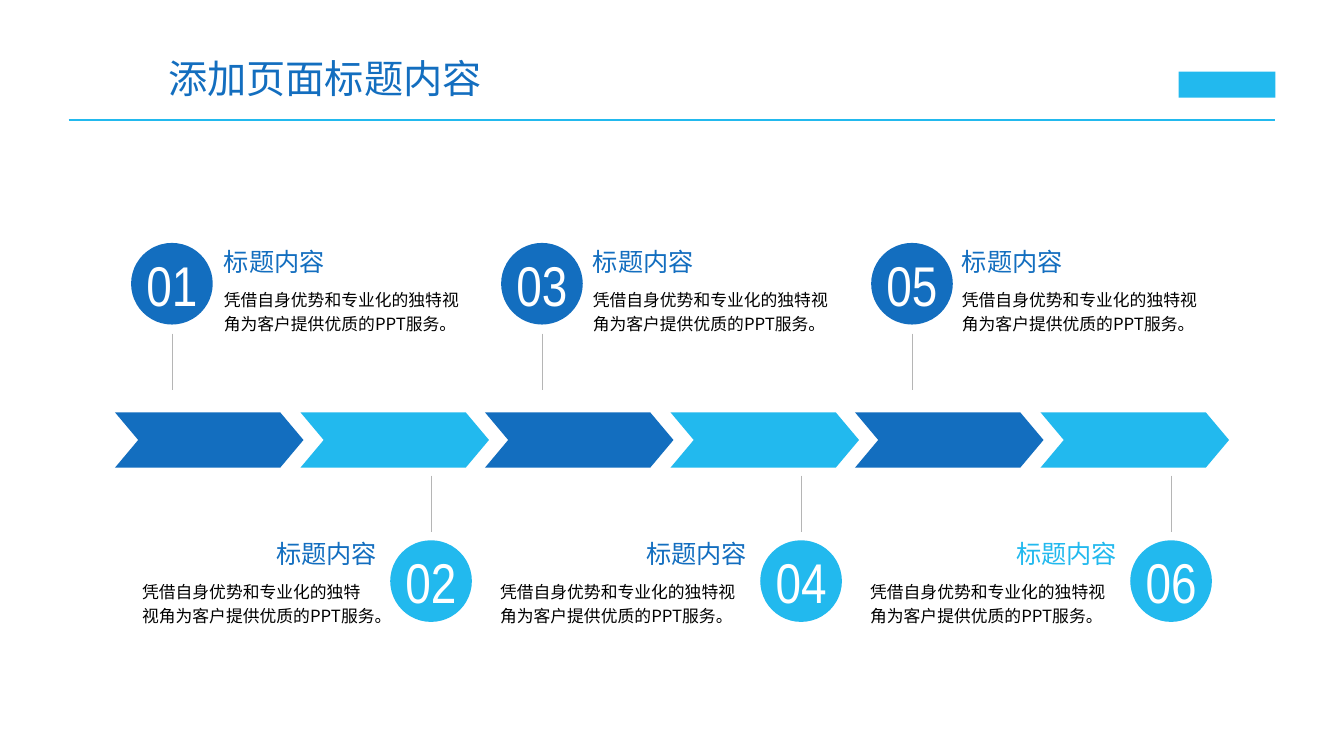
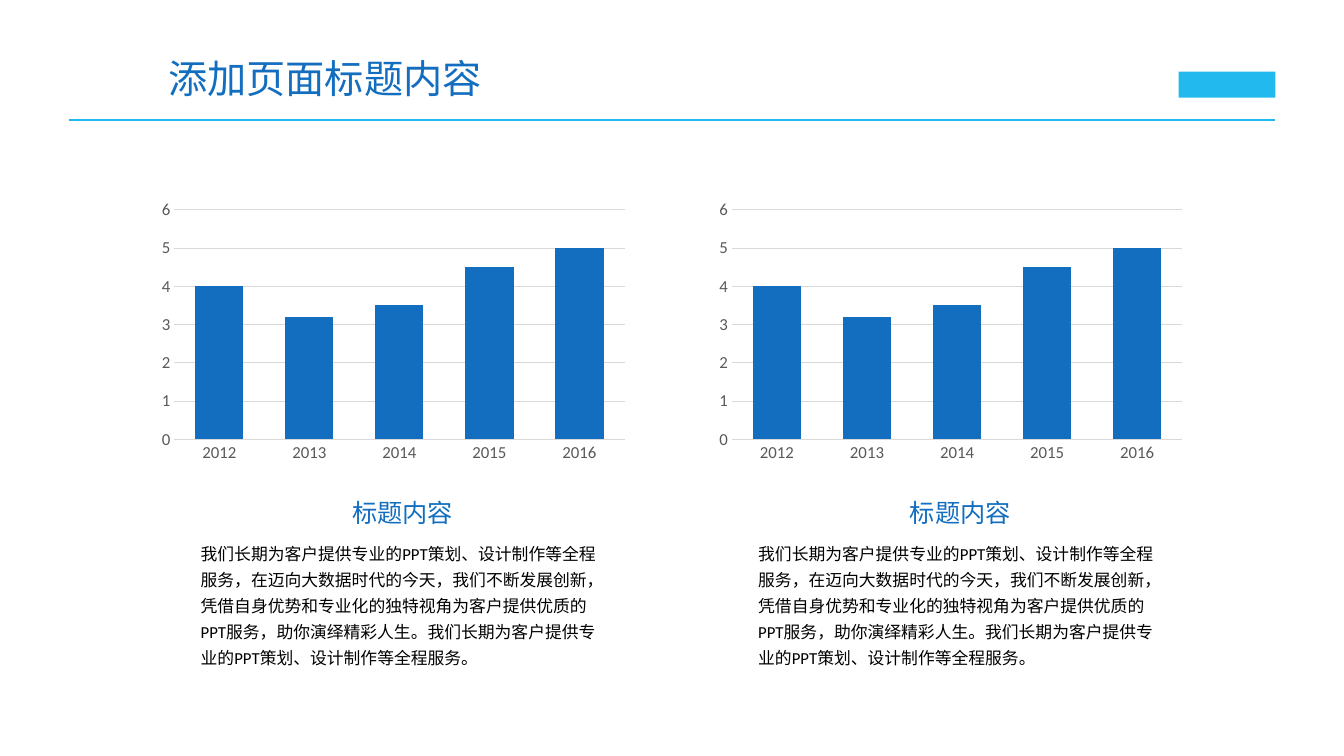
from dataclasses import dataclass

import lxml.etree
import pptx
import pptx.chart.data
import pptx.dml.color
import pptx.enum.chart
import pptx.enum.shapes
import pptx.enum.text
import pptx.oxml.ns
import pptx.util

EMU_PER_PX = 9144
SLIDE_WIDTH, SLIDE_HEIGHT = 1333, 750
TITLE_ONLY_LAYOUT = 5

ALIGN = pptx.enum.text.PP_ALIGN
ANCHOR = pptx.enum.text.MSO_ANCHOR
SHAPE = pptx.enum.shapes.MSO_SHAPE

PAGE_TITLE = "添加页面标题内容"
HEADING = "标题内容"
STEP_TEXT = "凭借自身优势和专业化的独特视角为客户提供优质的PPT服务。"
CHART_TEXT = (
    "我们长期为客户提供专业的PPT策划、设计制作等全程服务，在迈向大数据时代的今天，"
    "我们不断发展创新，凭借自身优势和专业化的独特视角为客户提供优质的PPT服务，"
    "助你演绎精彩人生。我们长期为客户提供专业的PPT策划、设计制作等全程服务。"
)
YEARS = ["2012", "2013", "2014", "2015", "2016"]
VALUES = [4, 3.2, 3.5, 4.5, 5]


@dataclass(frozen=True)
class Theme:
    dark: str = "136EBF"
    light: str = "22B9EE"
    white: str = "FFFFFF"
    black: str = "000000"
    stem: str = "B5B5B5"
    grid: str = "D9D9D9"
    axis_text: str = "595959"
    chinese_font: str = "Noto Sans CJK SC"
    number_font: str = "Arial Narrow"
    chart_font: str = "Calibri"
    title_size: int = 28
    number_size: int = 40
    heading_size: int = 18
    body_size: int = 12
    chart_size: int = 10


THEME = Theme()


def px(length):
    return pptx.util.Emu(length * EMU_PER_PX)


def rgb(color):
    return pptx.dml.color.RGBColor.from_string(color)


def style_font(font, size, color, name):
    font.size = pptx.util.Pt(size)
    font.color.rgb = rgb(color)
    font.name = name


def style_line(line, color, width):
    line.color.rgb = rgb(color)
    line.width = pptx.util.Pt(width)


class Deck:
    def __init__(self, theme):
        self.theme = theme
        self.presentation = pptx.Presentation()
        self.presentation.slide_width = px(SLIDE_WIDTH)
        self.presentation.slide_height = px(SLIDE_HEIGHT)
        self.slide = None

    def add_slide(self, title):
        """Start a slide with the shared title, rule and corner mark."""
        layout = self.presentation.slide_layouts[TITLE_ONLY_LAYOUT]
        self.slide = self.presentation.slides.add_slide(layout)
        self.line(68, 119, 1265, 119, self.theme.light, 2)
        self.shape(SHAPE.RECTANGLE, 1169, 71, 96, 26, self.theme.light)
        shape = self.slide.shapes.title
        shape.left, shape.top, shape.width, shape.height = map(px, (157, 49, 352, 57))
        shape.text_frame.auto_size = pptx.enum.text.MSO_AUTO_SIZE.SHAPE_TO_FIT_TEXT
        shape.text_frame.vertical_anchor = ANCHOR.MIDDLE
        self.set_text(shape.text_frame, title, self.theme.title_size,
                      self.theme.dark, self.theme.chinese_font, ALIGN.LEFT)

    def set_text(self, text_frame, text, size, color, font_name, align):
        """Fill a frame with one paragraph, using the Chinese font for Chinese text."""
        text_frame.text = text
        paragraph = text_frame.paragraphs[0]
        paragraph.alignment = align
        for run in paragraph.runs:
            style_font(run.font, size, color, font_name)
            lxml.etree.SubElement(run._r.get_or_add_rPr(), pptx.oxml.ns.qn("a:ea"),
                                  typeface=self.theme.chinese_font)
        return paragraph

    def clear_margins(self, text_frame):
        text_frame.margin_left = text_frame.margin_right = 0
        text_frame.margin_top = text_frame.margin_bottom = 0

    def line(self, x1, y1, x2, y2, color, width):
        connector = self.slide.shapes.add_connector(
            pptx.enum.shapes.MSO_CONNECTOR.STRAIGHT, px(x1), px(y1), px(x2), px(y2))
        style_line(connector.line, color, width)
        lxml.etree.SubElement(connector._element.spPr, pptx.oxml.ns.qn("a:effectLst"))

    def shape(self, kind, left, top, width, height, color):
        shape = self.slide.shapes.add_shape(
            kind, px(left), px(top), px(width), px(height))
        shape.shadow.inherit = False
        shape.fill.solid()
        shape.fill.fore_color.rgb = rgb(color)
        shape.line.fill.background()
        return shape

    def chevron(self, left, top, width, height, color):
        self.shape(SHAPE.CHEVRON, left, top, width, height, color).adjustments[0] = 0.42

    def badge(self, left, top, diameter, color, number):
        text_frame = self.shape(
            SHAPE.OVAL, left, top, diameter, diameter, color).text_frame
        self.clear_margins(text_frame)
        text_frame.vertical_anchor = ANCHOR.MIDDLE
        self.set_text(text_frame, number, self.theme.number_size,
                      self.theme.white, self.theme.number_font, ALIGN.CENTER)

    def text_box(self, left, top, width, height, text, size, color, font_name,
                 align, spacing):
        box = self.slide.shapes.add_textbox(px(left), px(top), px(width), px(height))
        box.text_frame.word_wrap = True
        self.clear_margins(box.text_frame)
        paragraph = self.set_text(box.text_frame, text, size, color, font_name, align)
        paragraph.line_spacing = spacing

    def heading(self, left, top, width, color, align):
        self.text_box(left, top, width, 42, HEADING, self.theme.heading_size,
                      color, self.theme.chinese_font, align, 1.2)

    def body(self, left, top, width, height, text, font_name, spacing):
        self.text_box(left, top, width, height, text, self.theme.body_size,
                      self.theme.black, font_name, ALIGN.LEFT, spacing)

    def column_chart(self, left, top, width, height, categories, values):
        theme = self.theme
        chart_data = pptx.chart.data.CategoryChartData()
        chart_data.categories = categories
        chart_data.add_series("Series 1", values)
        chart = self.slide.shapes.add_chart(
            pptx.enum.chart.XL_CHART_TYPE.COLUMN_CLUSTERED,
            px(left), px(top), px(width), px(height), chart_data).chart
        chart.has_title = False
        chart.has_legend = False
        style_font(chart.font, theme.chart_size, theme.black, theme.chart_font)

        plot = chart.plots[0]
        plot.gap_width = 87
        plot.overlap = -10
        plot.vary_by_categories = False
        fill = plot.series[0].format.fill
        fill.solid()
        fill.fore_color.rgb = rgb(theme.dark)

        for axis in (chart.category_axis, chart.value_axis):
            axis.major_tick_mark = pptx.enum.chart.XL_TICK_MARK.NONE
            axis.minor_tick_mark = pptx.enum.chart.XL_TICK_MARK.NONE
            style_font(axis.tick_labels.font, theme.body_size,
                       theme.axis_text, theme.chart_font)
        style_line(chart.category_axis.format.line, theme.grid, 0.75)
        value_axis = chart.value_axis
        value_axis.minimum_scale, value_axis.maximum_scale = 0, 6
        value_axis.major_unit = 1
        value_axis.format.line.fill.background()
        style_line(value_axis.major_gridlines.format.line, theme.grid, 0.75)

    def save(self):
        self.presentation.save("out.pptx")


def build_process(deck):
    theme = deck.theme
    diameter = 81
    heading_width = 216
    body_widths = [237, 233, 247, 245, 248, 245]
    deck.add_slide(PAGE_TITLE)
    for step, body_width in enumerate(body_widths):
        offset = round(step * 183.6)
        above = step % 2 == 0
        color = theme.dark if above else theme.light
        last = step == len(body_widths) - 1
        heading_color = theme.light if last else theme.dark
        if above:
            badge_left, badge_top, stem_top, text_top = 130 + offset, 241, 331, 238
            heading_left = body_left = 222 + 183 * step
            align = ALIGN.LEFT
        else:
            badge_left, badge_top, stem_top, text_top = 203 + offset, 536, 472, 528
            text_right = badge_left - 13
            heading_left = text_right - heading_width
            body_left = text_right - body_width
            align = ALIGN.RIGHT
        center = badge_left + diameter // 2 + 1
        deck.chevron(114 + offset, 409, 187, 55, color)
        deck.line(center, stem_top, center, stem_top + 56, theme.stem, 0.5)
        deck.badge(badge_left, badge_top, diameter, color, f"{step + 1:02}")
        deck.heading(heading_left, text_top, heading_width, heading_color, align)
        deck.body(body_left, text_top + 45, body_width, 73, STEP_TEXT,
                  theme.chinese_font, 1.2)


def build_charts(deck):
    deck.add_slide(PAGE_TITLE)
    for left in (151, 704):
        deck.column_chart(left, 193, 478, 272, YEARS, VALUES)
        deck.heading(left + 132, 487, 233, deck.theme.dark, ALIGN.CENTER)
        deck.body(left + 48, 533, 401, 135, CHART_TEXT, deck.theme.chart_font, 1.3)


def main():
    deck = Deck(THEME)
    build_process(deck)
    build_charts(deck)
    deck.save()


if __name__ == "__main__":
    main()
